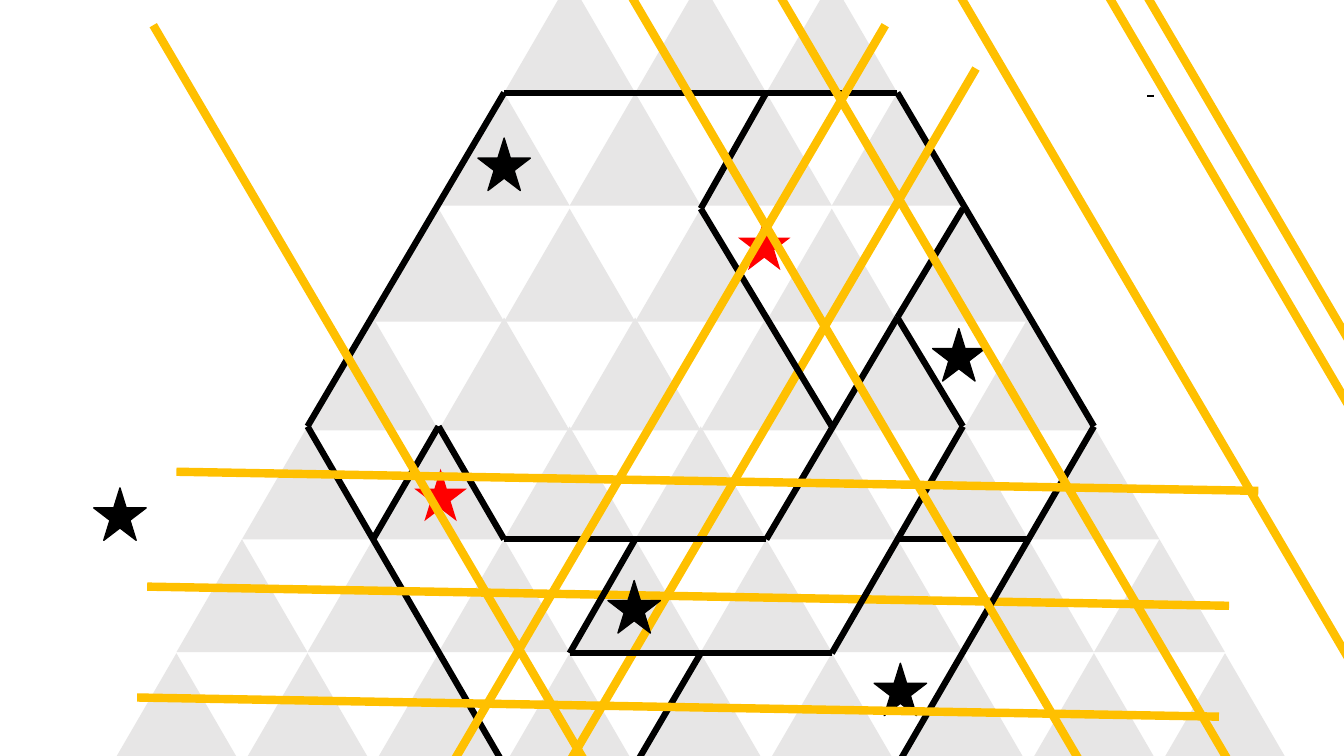
from itertools import pairwise

from lxml.etree import SubElement
from pptx import Presentation
from pptx.dml.color import RGBColor
from pptx.enum.shapes import MSO_CONNECTOR, MSO_SHAPE
from pptx.oxml.ns import qn
from pptx.util import Inches, Pt

COLORS = {"tile": "E7E6E6", "wall": "000000", "ray": "FFC000",
          "black": "000000", "red": "FF0000"}

# Triangular lattice: half-tile columns and the top of each row
LEFT, HALF = 1.1, 0.65
ROWS = [-0.2, 0.92, 2.07, 3.15, 4.23, 5.35, 6.48, 7.59]
TILE_H = 1.12
STAR = 0.52

# Walls as chains of (column, row) lattice points
OUTER = [
    [(15, 4), (12, 1), (6, 1), (3, 4)],
    [(12, 3), (13, 2)],
    [(6, 7), (3, 4)],
]
INNER = [
    [(4, 5), (5, 4), (6, 5), (8, 5), (10, 5), (12, 3), (13, 4), (11, 6),
     (9, 6), (7, 6), (8, 5)],
    [(15, 4), (12, 7)],
    [(9, 6), (8, 7)],
    [(14, 5), (12, 5)],
    [(11, 4), (9, 2), (10, 1)],
]

# Rays share three directions
FLAT, DOWN, BACK = (10.73, 0.19), (6.43, 10.97), (-4.66, 7.95)
UNDER = [
    (FLAT, [(1.46, 5.82)]),
    (DOWN, [(9.71, -2.88)]),
    (BACK, [(9.68, 0.68)]),
]
OVER = [
    (DOWN, [(8.86, -3.68), (1.52, 0.25), (6.61, -1.96), (8.25, -2.21),
            (5.65, -1.08)]),
    (BACK, [(8.78, 0.25)]),
    (FLAT, [(1.75, 4.68), (1.36, 6.92)]),
]

STARS = [(4.74, 1.37, "black"), (0.93, 4.84, "black"), (9.25, 3.26, "black"),
         (4.11, 4.65, "red"), (7.32, 2.16, "red"), (6.03, 5.76, "black"),
         (8.67, 6.58, "black")]


def color(name):
    return RGBColor.from_string(COLORS[name])


def node(col, row):
    return LEFT + col * HALF, ROWS[row]


def add_form(slide, kind, box, name):
    form = slide.shapes.add_shape(kind, *map(Inches, box))
    form.shadow.inherit = False
    form.fill.solid()
    form.fill.fore_color.rgb = color(name)
    form.line.fill.background()
    return form


def add_line(slide, start, end, name, width):
    line = slide.shapes.add_connector(
        MSO_CONNECTOR.STRAIGHT, *map(Inches, (*start, *end)))
    line.line.color.rgb = color(name)
    line.line.width = Pt(width)
    SubElement(line._element.spPr, qn("a:effectLst"))


def add_tiles(slide):
    for row in range(7):
        for tile in range(3 + row):
            x, y = node(6 - row + 2 * tile, row)
            add_form(slide, MSO_SHAPE.ISOSCELES_TRIANGLE,
                     (x, y, 2 * HALF, TILE_H), "tile")


def add_walls(slide, chains):
    for chain in chains:
        for start, end in pairwise(chain):
            add_line(slide, node(*start), node(*end), "wall", 4.5)


def add_rays(slide, groups):
    for (dx, dy), starts in groups:
        for x, y in starts:
            add_line(slide, (x, y), (x + dx, y + dy), "ray", 6)


def add_stars(slide):
    for x, y, name in STARS:
        star = add_form(slide, MSO_SHAPE.STAR_5_POINT, (x, y, STAR, STAR), name)
        if name == "black":
            star.line.color.rgb = color(name)
            star.line.width = Pt(1)


def main():
    deck = Presentation()
    deck.slide_width, deck.slide_height = Inches(13.33), Inches(7.5)
    slide = deck.slides.add_slide(deck.slide_layouts[6])
    add_tiles(slide)
    add_walls(slide, OUTER)
    add_line(slide, (11.41, 0.94), (11.41, 0.96), "wall", 4.5)
    add_rays(slide, UNDER)
    add_stars(slide)
    add_walls(slide, INNER)
    add_rays(slide, OVER)
    deck.save("out.pptx")


if __name__ == "__main__":
    main()
